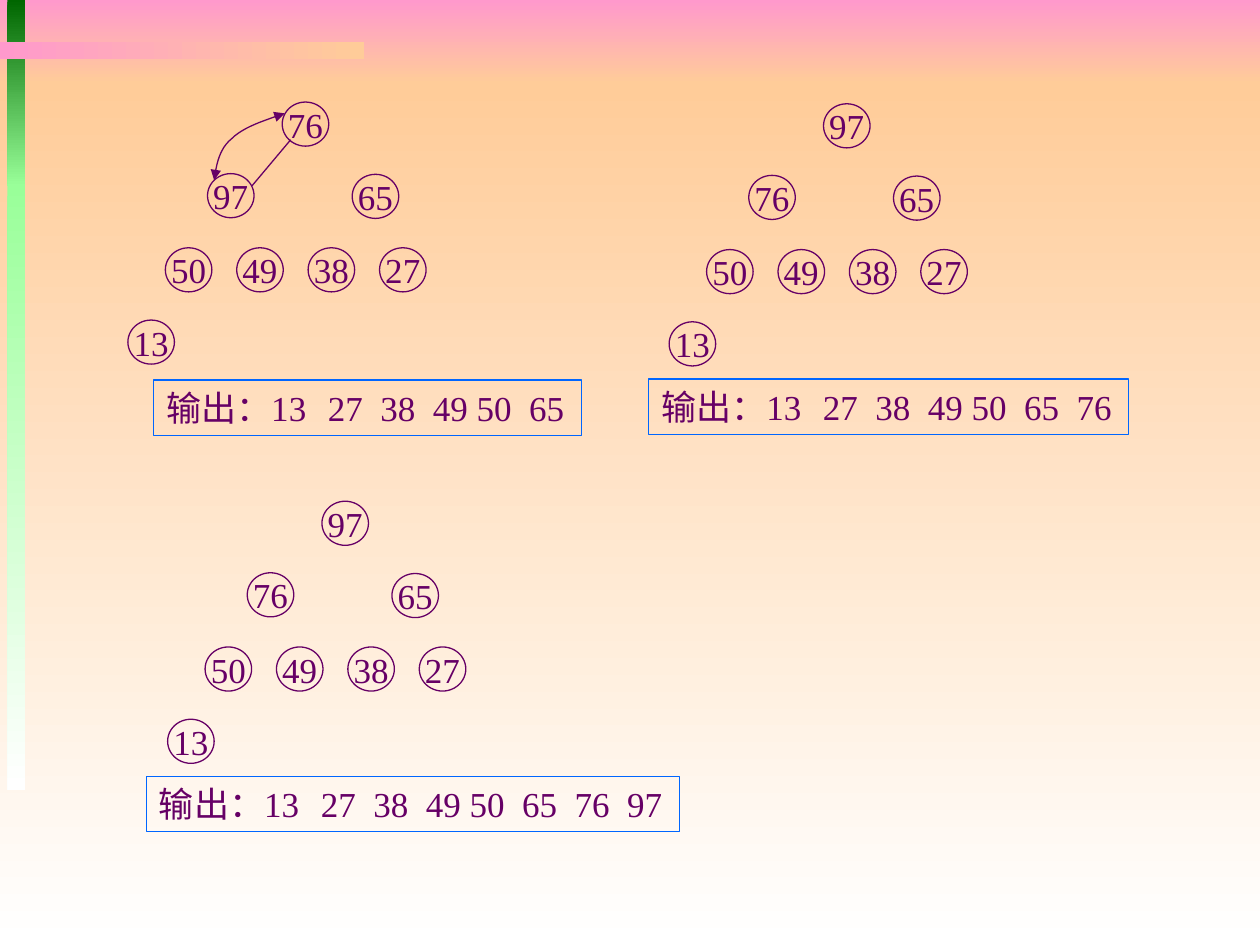
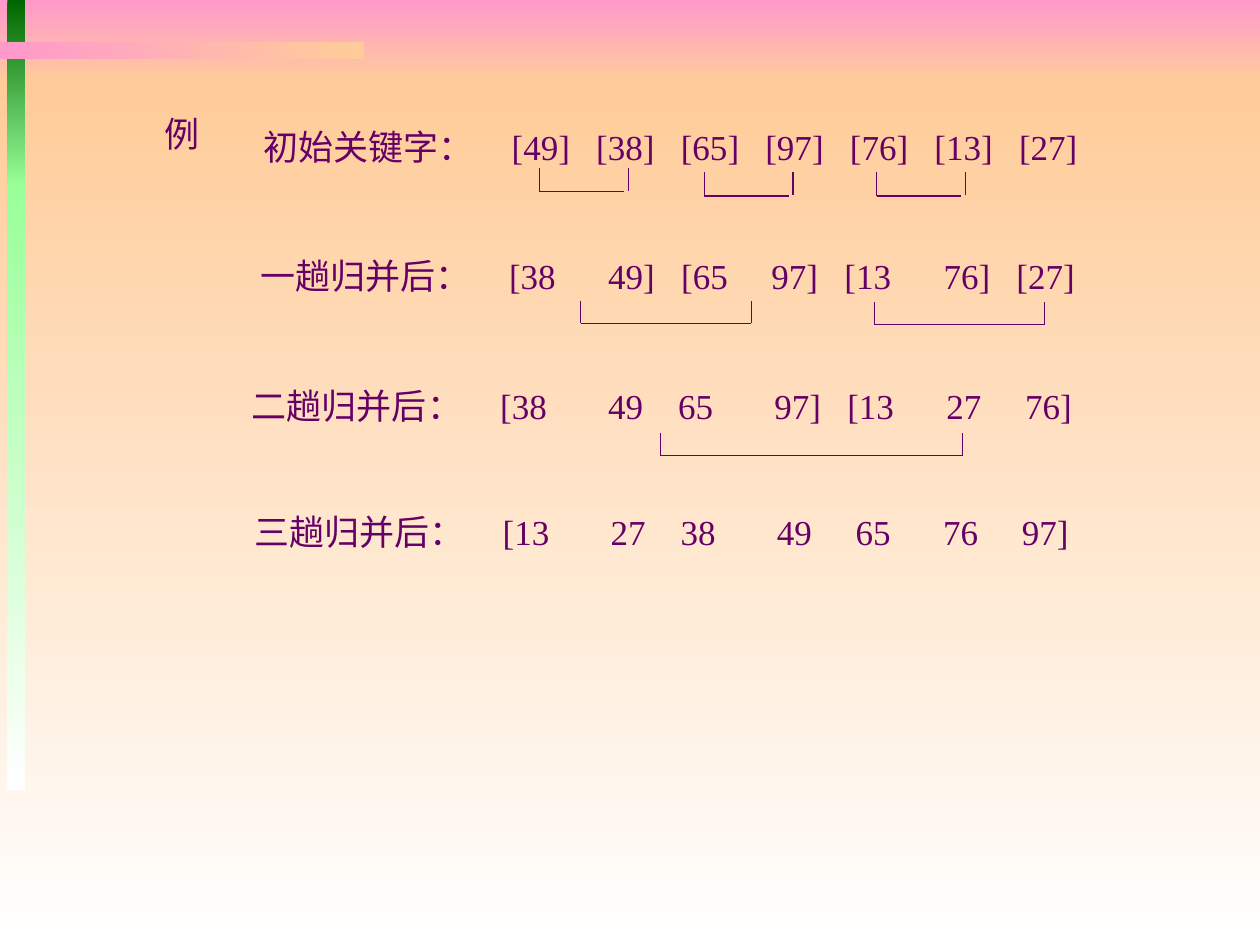
"""Build two slides on sorting: the end of a heap sort and the passes of a merge sort."""
from dataclasses import dataclass

from lxml import etree
from pptx import Presentation
from pptx.dml.color import RGBColor
from pptx.enum import shapes, text
from pptx.oxml.ns import qn
from pptx.util import Pt

COLORS = {"ink": "660066", "frame": "0066FF", "pink": "FF99CC", "peach": "FFCC99",
          "white": "FFFFFF", "green": "006600", "mint": "99FF99"}
FONT, SIZE = "Times New Roman", 20
NODE_W, NODE_H = 26.6, 25.2
BOX_H, INSET = 31.7, 7.2
CHAR_WIDTHS = {"[": 6.66, "]": 6.66}
DIGIT_W, SPACE_W = 10, 5
LEAF_STEP = 40.8
NODE_OFFSETS = [(0, 0), (-42.7, 40.9), (40, 41.3),
                *((-66.8 + LEAF_STEP * i, 83.3) for i in range(4)), (-88.2, 124.6)]


@dataclass
class Band:
    x: float
    y: float
    w: float
    h: float
    start: str
    end: str
    angle: int = 270


@dataclass
class Row:
    x: float
    y: float
    w: float
    label: str
    cells: str
    gaps: tuple[int, ...]
    start: float = 142
    lead: str = "\t"


@dataclass
class Heap:
    x: float
    y: float
    keys: tuple[int, ...]
    output: Row


@dataclass
class Bracket:
    left: float
    right: float
    bottom: float
    height: float = 13
    gap: float = 0


BANDS = [
    Band(0, 0, 720, 48, "pink", "peach"),
    Band(0, 48, 720, 492, "peach", "white"),
    Band(4.2, 0, 10.2, 106.5, "green", "mint"),
    Band(4.2, 105, 10.2, 346.5, "mint", "white"),
    Band(0, 24, 208.2, 9.8, "pink", "peach", 0),
]


def output_row(x: float, y: float, w: float, cells: str) -> Row:
    """Return the framed row that lists the keys already sorted."""
    return Row(x, y, w, "输出：", cells, (2, 2, 2, 1, 2, 2, 2), 62.5, "")


HEAPS = [
    Heap(161.3, 58.3, (76, 97, 65, 50, 49, 38, 27, 13),
         output_row(87.8, 217.2, 244.5, "13 27 38 49 50 65")),
    Heap(470.6, 59.3, (97, 76, 65, 50, 49, 38, 27, 13),
         output_row(370.7, 216.6, 274.4, "13 27 38 49 50 65 76")),
    Heap(184, 286.4, (97, 76, 65, 50, 49, 38, 27, 13),
         output_row(83.8, 443.7, 304.6, "13 27 38 49 50 65 76 97")),
]
SWAP_CURVES = [
    ((162.7, 64.8), (150.5, 69.1), (139, 72.7), (132.5, 79.2)),
    ((132.5, 79.2), (125.3, 85), (123.8, 93.6), (122.4, 103)),
]
MERGE_ROWS = [
    Row(143.3, 68.4, 481, "初始关键字：", "[49] [38] [65] [97] [76] [13] [27]", (3,) * 6),
    Row(141.8, 141.8, 481, "一趟归并后：", "[38 49] [65 97] [13 76] [27]", (6, 3, 5, 3, 6, 3)),
    Row(136.8, 216, 484.6, "二趟归并后：", "[38 49 65 97] [13 27 76]", (7, 4, 7, 3, 6, 5)),
    Row(138.2, 288, 481, "三趟归并后：", "[13 27 38 49 65 76 97]", (7, 4, 7, 5, 6, 5)),
]
BRACKETS = [
    *(Bracket(x, x + 50.8, y, 13.8, 2.4)
      for x, y in ((308.4, 109.6), (402.4, 112), (501, 112))),
    Bracket(331.9, 429.3, 184.8),
    Bracket(499.6, 597, 185.6),
    Bracket(377.3, 550, 260.4),
]


def rgb(name: str) -> RGBColor:
    """Return the named colour."""
    return RGBColor.from_string(COLORS[name])


def style_line(sp, color: str = "ink") -> None:
    """Give a shape or connector a thin line."""
    sp.line.color.rgb = rgb(color)
    sp.line.width = Pt(0.75)


def write(sp, content: str, *, align=text.PP_ALIGN.LEFT, anchor=text.MSO_ANCHOR.TOP,
          wrap: bool = True, tabs: tuple[float, ...] = ()) -> None:
    """Write one paragraph into a shape, with optional tab stops."""
    tf = sp.text_frame
    tf.word_wrap = wrap
    tf.vertical_anchor = anchor
    tf.margin_left = Pt(INSET)
    tf.margin_right = Pt(0) if wrap else Pt(INSET)
    tf.margin_top = tf.margin_bottom = Pt(3.6)
    p = tf.paragraphs[0]
    p.alignment = align
    if tabs:
        stops = etree.SubElement(p._p.get_or_add_pPr(), qn("a:tabLst"))
        for pos in tabs:
            etree.SubElement(stops, qn("a:tab"), pos=str(int(Pt(pos))), algn="l")
    r = p.add_run()
    r.text = content
    r.font.name, r.font.size = FONT, Pt(SIZE)
    r.font.color.rgb = rgb("ink")


def add_preset(s, kind, x: float, y: float, w: float, h: float):
    """Add a preset shape without shadow."""
    sp = s.shapes.add_shape(kind, Pt(x), Pt(y), Pt(w), Pt(h))
    sp.shadow.inherit = False
    return sp


def add_band(s, band: Band) -> None:
    """Draw one gradient band."""
    sp = add_preset(s, shapes.MSO_SHAPE.RECTANGLE, band.x, band.y, band.w, band.h)
    sp.line.fill.background()
    sp.fill.gradient()
    sp.fill.gradient_angle = band.angle
    for stop, name in zip(sp.fill.gradient_stops, (band.start, band.end)):
        stop.color.rgb = rgb(name)


def add_line(s, x1: float, y1: float, x2: float, y2: float) -> None:
    """Draw a straight line."""
    c = s.shapes.add_connector(shapes.MSO_CONNECTOR.STRAIGHT, Pt(x1), Pt(y1), Pt(x2), Pt(y2))
    style_line(c)
    etree.SubElement(c._element.spPr, qn("a:effectLst"))


def add_row(s, row: Row, framed: bool = False) -> None:
    """Write a label and its keys, set at tab stops worked out from character widths."""
    cells = row.cells.split()
    tabs = [row.start]
    for cell, gap in zip(cells[:-1], row.gaps):
        width = sum(CHAR_WIDTHS.get(ch, DIGIT_W) for ch in cell)
        tabs.append(tabs[-1] + width + gap * SPACE_W)
    if framed:
        sp = add_preset(s, shapes.MSO_SHAPE.RECTANGLE, row.x, row.y, row.w, BOX_H)
        sp.fill.background()
        style_line(sp, "frame")
    else:
        sp = s.shapes.add_textbox(Pt(row.x), Pt(row.y), Pt(row.w), Pt(BOX_H))
    stops = tabs if row.lead else tabs[1:]
    write(sp, row.label + row.lead + "\t".join(cells), tabs=tuple(stops))


def add_heap(s, heap: Heap) -> None:
    """Draw the nodes of a heap and its output row."""
    for key, (dx, dy) in zip(heap.keys, NODE_OFFSETS):
        sp = add_preset(s, shapes.MSO_SHAPE.OVAL, heap.x + dx, heap.y + dy, NODE_W, NODE_H)
        sp.fill.background()
        style_line(sp)
        write(sp, str(key), align=text.PP_ALIGN.CENTER, anchor=text.MSO_ANCHOR.MIDDLE, wrap=False)
    add_row(s, heap.output, framed=True)


def add_swap_arrow(s, steps: int = 12) -> None:
    """Draw the curved double arrow between two swapped nodes."""
    points = []
    for a, b, c, d in SWAP_CURVES:
        for i in range(steps + 1):
            t = i / steps
            weights = ((1 - t) ** 3, 3 * t * (1 - t) ** 2, 3 * t * t * (1 - t), t ** 3)
            points.append(tuple(Pt(sum(k * q[axis] for k, q in zip(weights, (a, b, c, d))))
                                for axis in (0, 1)))
    fb = s.shapes.build_freeform(*points[0])
    fb.add_line_segments(points[1:], close=False)
    sp = fb.convert_to_shape()
    sp.shadow.inherit = False
    sp.fill.background()
    style_line(sp)
    for end in ("a:headEnd", "a:tailEnd"):
        etree.SubElement(sp.line._get_or_add_ln(), qn(end), type="triangle")


def add_bracket(s, b: Bracket) -> None:
    """Draw a bracket that joins two merged runs."""
    top = b.bottom - b.height
    add_line(s, b.left, top, b.left, b.bottom)
    add_line(s, b.left, b.bottom, b.right - b.gap, b.bottom)
    add_line(s, b.right, b.bottom - b.gap / 4, b.right, top)


def new_slide(prs):
    """Add a blank slide with the shared bands."""
    s = prs.slides.add_slide(prs.slide_layouts[6])
    for band in BANDS:
        add_band(s, band)
    return s


def main() -> None:
    """Build and save the presentation."""
    prs = Presentation()
    prs.slide_width, prs.slide_height = Pt(720), Pt(540)

    s = new_slide(prs)
    for heap in HEAPS:
        add_heap(s, heap)
    add_line(s, 166.1, 79.9, 144, 106.2)
    add_swap_arrow(s)

    s = new_slide(prs)
    sp = s.shapes.add_textbox(Pt(87.1), Pt(60.5), Pt(34.6), Pt(BOX_H))
    write(sp, "例")
    for row in MERGE_ROWS:
        add_row(s, row)
    for bracket in BRACKETS:
        add_bracket(s, bracket)

    prs.save("out.pptx")


if __name__ == "__main__":
    main()
